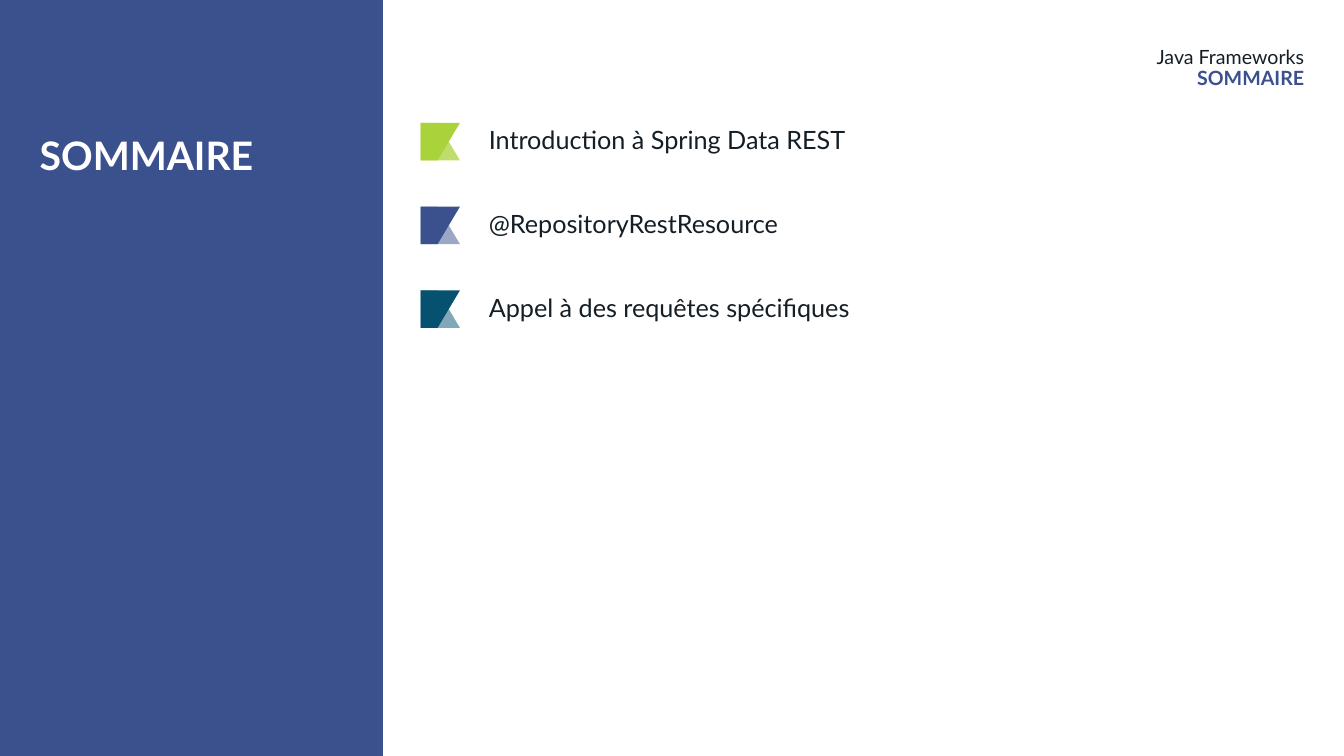
from lxml import etree
from pptx import Presentation
from pptx.dml.color import RGBColor
from pptx.enum.shapes import MSO_SHAPE
from pptx.enum.text import MSO_AUTO_SIZE, PP_ALIGN
from pptx.oxml.ns import qn
from pptx.util import Cm, Pt

RECTANGLE = MSO_SHAPE.RECTANGLE
LEFT, RIGHT = PP_ALIGN.LEFT, PP_ALIGN.RIGHT
GROW = MSO_AUTO_SIZE.SHAPE_TO_FIT_TEXT

BLUE, GREEN, TEAL = "3B518E", "AAD23B", "06516F"
INK, WHITE = "141E26", "FFFFFF"

ROW_TOP, ROW_PITCH = 3.1, 2.11
ICON_WIDTH, ICON_HEIGHT, ICON_NOTCH = 0.99, 0.94, 0.43


def color(value):
    return RGBColor.from_string(value)


class SlideBuilder:
    font_name = "Lato"
    line_spacing = 0.9

    def __init__(self, slide):
        self.slide = slide

    def paint(self, shape, fill, opacity=100):
        shape.shadow.inherit = False
        shape.fill.solid()
        shape.fill.fore_color.rgb = color(fill)
        shape.line.fill.background()
        if opacity < 100:
            fill_color = shape.fill._xPr.find(qn("a:solidFill"))[0]
            etree.SubElement(fill_color, qn("a:alpha"), val=str(opacity * 1000))

    def rectangle(self, left, top, width, height, fill):
        shape = self.slide.shapes.add_shape(
            RECTANGLE, Cm(left), Cm(top), Cm(width), Cm(height))
        self.paint(shape, fill)

    def polygon(self, points, fill, opacity=100):
        start, *others = [(Cm(x), Cm(y)) for x, y in points]
        builder = self.slide.shapes.build_freeform(*start)
        builder.add_line_segments(others, close=True)
        self.paint(builder.convert_to_shape(), fill, opacity)

    def flag(self, left, top, fill, opacity):
        """Draw a solid slanted block over its translucent mirror image."""
        right, bottom = left + ICON_WIDTH, top + ICON_HEIGHT
        notch = left + ICON_NOTCH
        for near, far, strength in ((top, bottom, opacity), (bottom, top, 100)):
            self.polygon([(notch, near), (right, far), (left, far), (left, near)],
                         fill, strength)

    def text(self, left, top, width, height, lines, size, align=LEFT, inset=True):
        """Write lines given as (text, colour, bold)."""
        box = self.slide.shapes.add_textbox(
            Cm(left), Cm(top), Cm(width), Cm(height))
        frame = box.text_frame
        frame.word_wrap = True
        if inset:
            frame.auto_size = GROW
        else:
            frame.margin_left = frame.margin_right = 0
            frame.margin_top = frame.margin_bottom = 0
        for index, (words, ink, bold) in enumerate(lines):
            paragraph = frame.add_paragraph() if index else frame.paragraphs[0]
            paragraph.text = words
            paragraph.alignment = align
            paragraph.line_spacing = self.line_spacing
            paragraph.font.name = self.font_name
            paragraph.font.size = Pt(size)
            paragraph.font.bold = bold
            paragraph.font.color.rgb = color(ink)


def main():
    presentation = Presentation()
    presentation.slide_width, presentation.slide_height = Cm(33.87), Cm(19.05)
    slide = presentation.slides.add_slide(presentation.slide_layouts[6])
    builder = SlideBuilder(slide)

    builder.rectangle(0, 0, 9.65, 19.05, BLUE)
    builder.text(1, 3.45, 7.92, 12.3, [("SOMMAIRE", WHITE, True)], 28, inset=False)
    builder.text(10.62, 1.2, 22.25, 1.22,
                 [("Java Frameworks", INK, False), ("SOMMAIRE", BLUE, True)],
                 14, RIGHT, inset=False)

    topics = [
        ("Introduction à Spring Data REST", GREEN, 75),
        ("@RepositoryRestResource", BLUE, 50),
        ("Appel à des requêtes spécifiques", TEAL, 50),
    ]
    for row, (topic, fill, opacity) in enumerate(topics):
        top = ROW_TOP + row * ROW_PITCH
        builder.flag(10.6, top, fill, opacity)
        builder.text(12.07, top, 18.34, 0.94, [(topic, INK, False)], 18)

    presentation.save("out.pptx")


if __name__ == "__main__":
    main()
